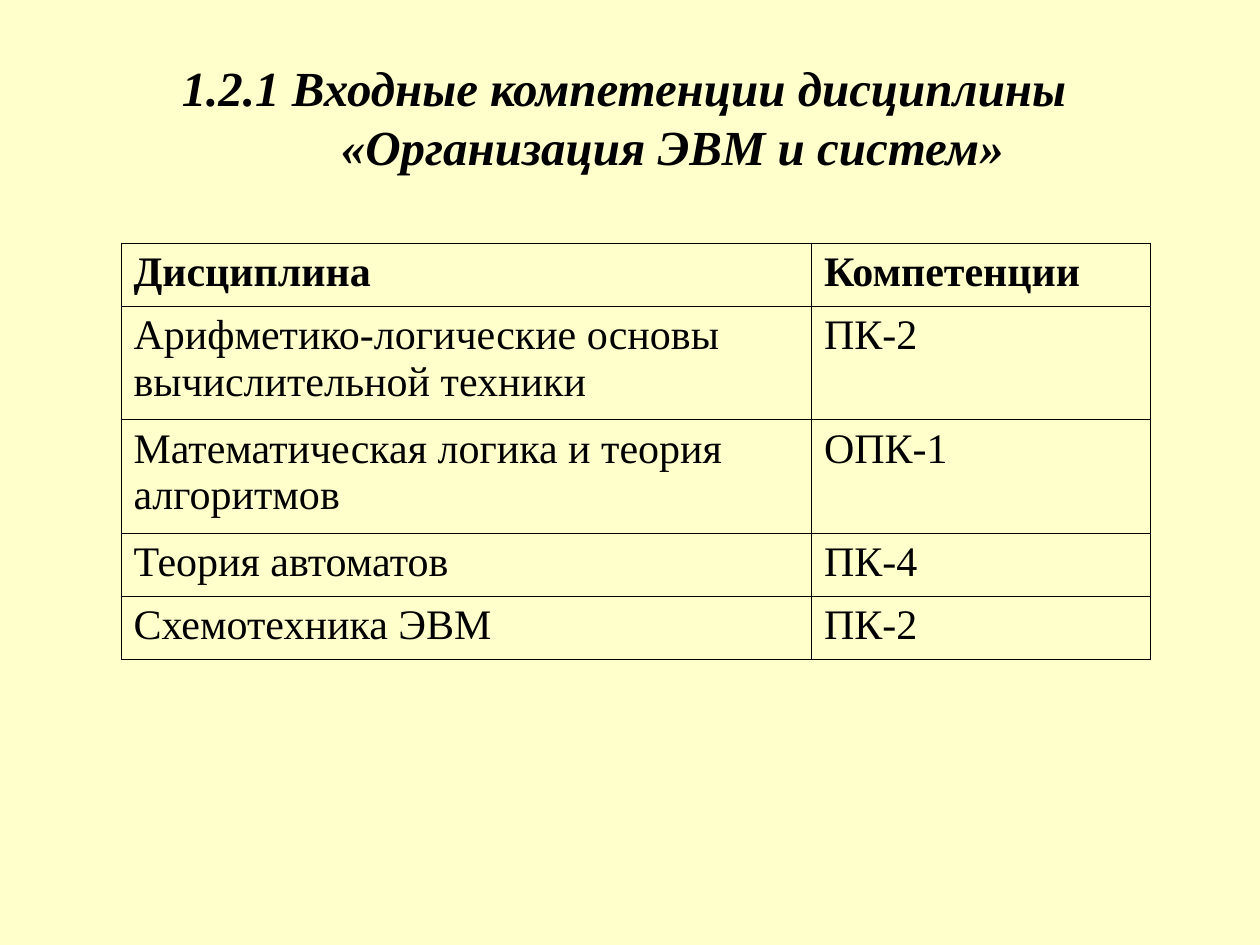
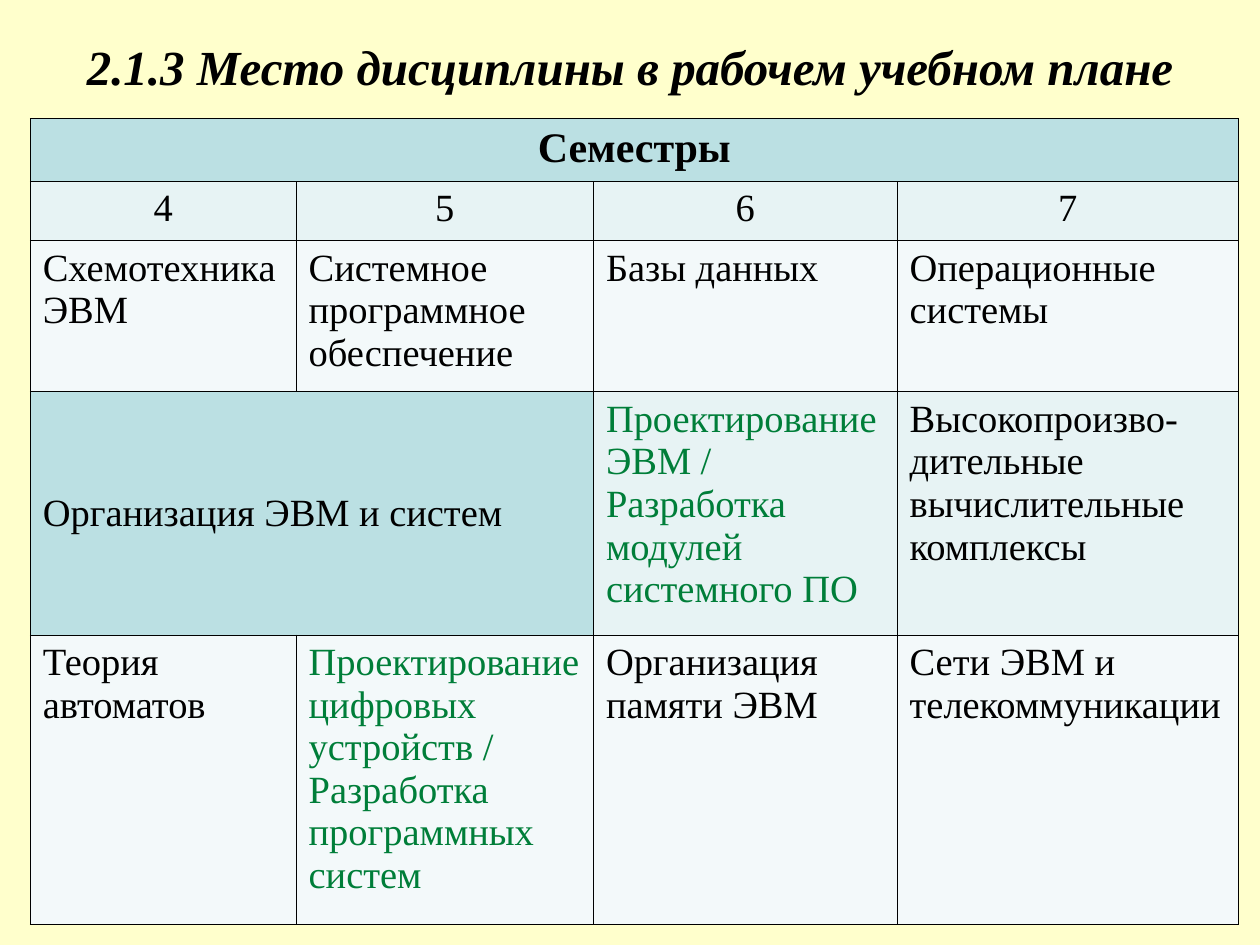
from dataclasses import dataclass

from lxml import etree
from pptx import Presentation
from pptx.dml.color import RGBColor
from pptx.enum.text import MSO_ANCHOR, MSO_AUTO_SIZE, PP_ALIGN
from pptx.oxml.ns import qn
from pptx.util import Inches, Pt

MIDDLE, TOP = MSO_ANCHOR.MIDDLE, MSO_ANCHOR.TOP
CENTER, LEFT = PP_ALIGN.CENTER, PP_ALIGN.LEFT
NO_AUTOFIT = MSO_AUTO_SIZE.NONE
TITLE_ONLY = 5


@dataclass(frozen=True)
class Theme:
    font: str = "Times New Roman"
    background: str = "FFFFCC"
    ink: str = "000000"
    elective: str = "007E39"
    accent: str = "BBE0E3"
    bands: tuple = ("F3F9FA", "E7F3F4")
    title_size: int = 28
    heading_size: int = 24
    plan_size: int = 22
    border: float = 0.45


THEME = Theme()

COMPETENCIES = {
    "title": "1.2.1 Входные компетенции дисциплины \v«Организация ЭВМ и систем»",
    "title_box": (0.5, 0.3, 9, 1.25),
    "hanging": 0.67,
    "corner": (0.96, 1.93),
    "columns": (5.48, 2.69),
    "heights": (0.5, 0.9, 0.9, 0.5, 0.5),
    "rows": [
        ("Дисциплина", "Компетенции"),
        ("Арифметико-логические основы вычислительной техники", "ПК-2"),
        ("Математическая логика и теория алгоритмов", "ОПК-1"),
        ("Теория автоматов", "ПК-4"),
        ("Схемотехника ЭВМ", "ПК-2"),
    ],
}

DIGITAL_DESIGN = "Проектирование цифровых устройств / Разработка программных систем"
COMPUTER_DESIGN = "Проектирование ЭВМ / Разработка модулей системного ПО"
ELECTIVES = (DIGITAL_DESIGN, COMPUTER_DESIGN)

CURRICULUM = {
    "title": "2.1.3 Место дисциплины в рабочем учебном плане",
    "title_box": (0.5, 0.06, 9, 0.92),
    "hanging": 0,
    "corner": (0.24, 0.94),
    "columns": (2.11, 2.36, 2.41, 2.71),
    "heights": (0.5, 0.47, 1.2, 1.93, 2.3),
    "rows": [
        ("Семестры", None, None, None),
        ("4", "5", "6", "7"),
        ("Схемотехника ЭВМ", "Системное программное обеспечение",
         "Базы данных", "Операционные системы"),
        ("Организация ЭВМ и систем", None, COMPUTER_DESIGN,
         "Высокопроизво-дительные вычислительные комплексы"),
        ("Теория автоматов", DIGITAL_DESIGN,
         "Организация памяти ЭВМ", "Сети ЭВМ и телекоммуникации"),
    ],
}


def rgb(color):
    return RGBColor.from_string(color)


def style(paragraph, size, color=THEME.ink, bold=False, italic=False, align=LEFT):
    paragraph.alignment = align
    for run in paragraph.runs:
        font = run.font
        font.name, font.size = THEME.font, Pt(size)
        font.bold, font.italic = bold, italic
        font.color.rgb = rgb(color)


def add_borders(cell):
    properties = cell._tc.get_or_add_tcPr()
    for position, side in enumerate(("lnL", "lnR", "lnT", "lnB")):
        line = etree.Element(qn(f"a:{side}"), w=str(Pt(THEME.border)))
        fill = etree.SubElement(line, qn("a:solidFill"))
        etree.SubElement(fill, qn("a:srgbClr"), val=THEME.ink)
        properties.insert(position, line)


def add_titled_slide(deck, content):
    slide = deck.slides.add_slide(deck.slide_layouts[TITLE_ONLY])
    title = slide.shapes.title
    title.left, title.top, title.width, title.height = map(Inches, content["title_box"])
    frame = title.text_frame
    frame.auto_size = NO_AUTOFIT
    frame.vertical_anchor = MIDDLE
    heading = frame.paragraphs[0]
    heading.text = content["title"]
    style(heading, THEME.title_size, bold=True, italic=True, align=CENTER)
    if content["hanging"]:
        indent = Inches(content["hanging"])
        properties = heading._p.get_or_add_pPr()
        properties.set("marL", str(indent))
        properties.set("indent", str(-indent))
    return slide


def add_grid(slide, content):
    columns, heights, rows = content["columns"], content["heights"], content["rows"]
    extent = (*content["corner"], sum(columns), sum(heights))
    grid = slide.shapes.add_table(len(rows), len(columns), *map(Inches, extent)).table
    grid.first_row = grid.horz_banding = False
    for column, width in zip(grid.columns, columns):
        column.width = Inches(width)
    for row, height in zip(grid.rows, heights):
        row.height = Inches(height)
    for r, row in enumerate(rows):
        for c, text in enumerate(row):
            cell = grid.cell(r, c)
            cell.fill.background()
            add_borders(cell)
            if text is None:
                continue
            end = c
            while end + 1 < len(row) and row[end + 1] is None:
                end += 1
            if end > c:
                cell.merge(grid.cell(r, end))
            cell.text_frame.text = text
    return grid


def style_competencies(grid):
    for r, row in enumerate(grid.rows):
        for cell in row.cells:
            style(cell.text_frame.paragraphs[0], THEME.heading_size, bold=r == 0)


def style_curriculum(grid):
    for r, row in enumerate(grid.rows):
        for cell in row.cells:
            merged = cell.is_merge_origin or cell.is_spanned
            cell.fill.solid()
            cell.fill.fore_color.rgb = rgb(THEME.accent if merged else THEME.bands[r % 2])
            cell.vertical_anchor = MIDDLE if merged and r else TOP
            style(
                cell.text_frame.paragraphs[0],
                THEME.plan_size if r else THEME.heading_size,
                color=THEME.elective if cell.text_frame.text in ELECTIVES else THEME.ink,
                bold=r == 0,
                align=CENTER if r < 2 else LEFT,
            )


def main():
    deck = Presentation()
    deck.slide_width, deck.slide_height = Inches(10), Inches(7.5)
    background = deck.slide_master.background.fill
    background.solid()
    background.fore_color.rgb = rgb(THEME.background)
    for content, style_grid in (
        (COMPETENCIES, style_competencies),
        (CURRICULUM, style_curriculum),
    ):
        style_grid(add_grid(add_titled_slide(deck, content), content))
    deck.save("out.pptx")


if __name__ == "__main__":
    main()
